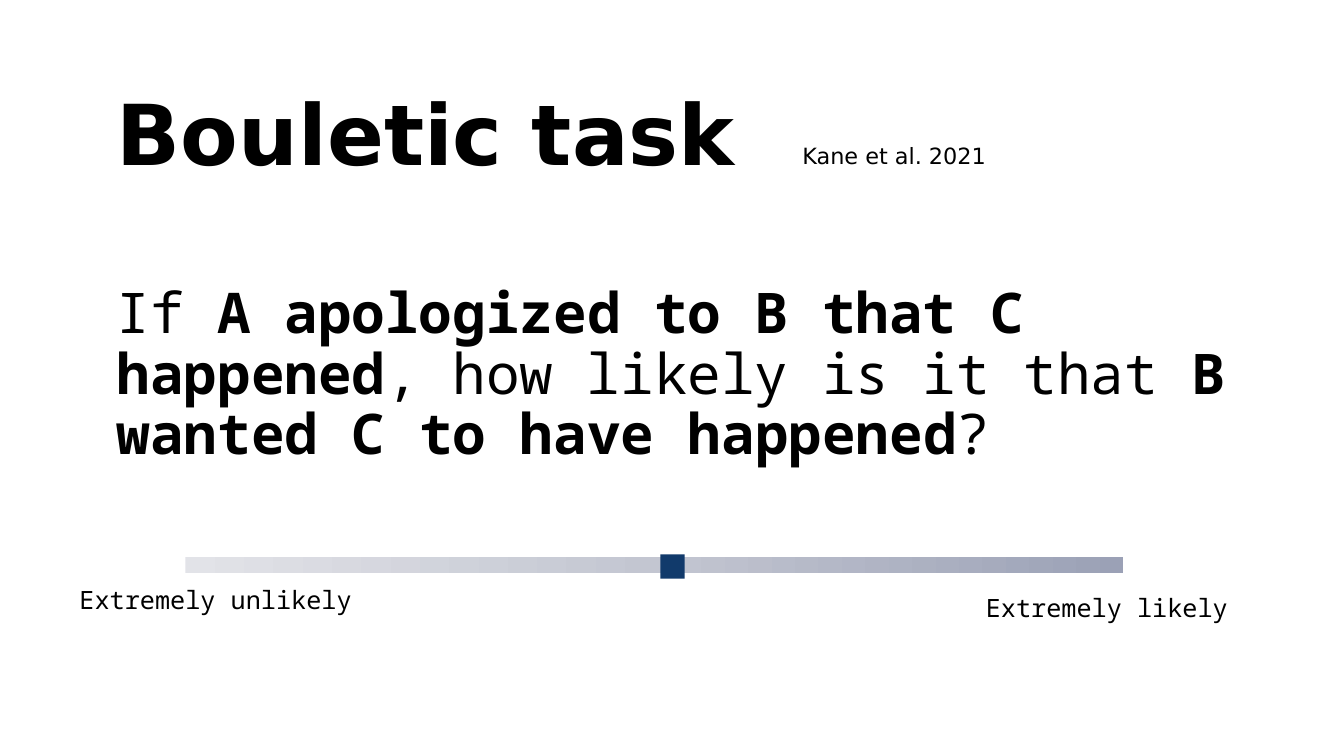
from copy import deepcopy
from dataclasses import dataclass

from pptx import Presentation
from pptx.dml.color import RGBColor
from pptx.enum.shapes import MSO_SHAPE
from pptx.enum.text import MSO_ANCHOR
from pptx.oxml.ns import qn
from pptx.util import Inches, Pt


@dataclass(frozen=True)
class Theme:
    """Colours, fonts and type sizes of the slide."""
    text: str = "000000"
    knob: str = "113A6B"
    track: tuple = ("E2E3E8", "C3C6D1", "9BA1B6")
    heading_font: str = "DejaVu Sans"
    body_font: str = "Noto Sans Mono"
    heading_size: int = 60
    question_size: int = 40
    label_size: int = 18
    citation_size: int = 16


THEME = Theme()


def add_text(page, box, spans, font, size, anchor=MSO_ANCHOR.TOP, line_spacing=1.0):
    """Add one paragraph of (text, bold) spans in a text box."""
    frame = page.shapes.add_textbox(*map(Inches, box)).text_frame
    frame.word_wrap = True
    frame.vertical_anchor = anchor
    para = frame.paragraphs[0]
    para.line_spacing = line_spacing
    for text, bold in spans:
        span = para.add_run()
        span.text = text
        span.font.name = font
        span.font.size = Pt(size)
        span.font.bold = bold
        span.font.color.rgb = RGBColor.from_string(THEME.text)


def add_bar(page, box):
    """Add a rectangle without outline or shadow."""
    bar = page.shapes.add_shape(MSO_SHAPE.RECTANGLE, *map(Inches, box))
    bar.shadow.inherit = False
    bar.line.fill.background()
    return bar


def fill_gradient(shape, colours):
    """Fill a shape from left to right with evenly spaced colours."""
    shape.fill.gradient()
    shape.fill.gradient_angle = 0
    stops = shape._element.spPr.find(qn("a:gradFill")).find(qn("a:gsLst"))
    while len(stops) < len(colours):
        stops.append(deepcopy(stops[0]))
    for index, (stop, colour) in enumerate(zip(shape.fill.gradient_stops, colours)):
        stop.position = index / (len(colours) - 1)
        stop.color.rgb = RGBColor.from_string(colour)


def add_heading(page, box):
    """Place the heading and the citation beside it."""
    left, top, width, height = box
    add_text(page, box, [("Bouletic task", True)], THEME.heading_font, THEME.heading_size)
    add_text(page, (left + 6.8, top + 0.6, 3.99, 0.37), [("Kane et al. 2021", False)],
             THEME.heading_font, THEME.citation_size)


def add_question(page, box):
    """Place the question with its key clauses in bold."""
    spans = [
        ("If ", False),
        ("A apologized to B that C happened", True),
        (", how likely is it that ", False),
        ("B wanted C to have happened", True),
        ("?", False),
    ]
    add_text(page, box, spans, THEME.body_font, THEME.question_size, MSO_ANCHOR.BOTTOM, 0.9)


def add_slider(page, box):
    """Place the slider track, its knob and the two end labels."""
    left, top, width, height = box
    fill_gradient(add_bar(page, box), THEME.track)
    knob = add_bar(page, (left + 4.71, top - 0.03, 0.24, 0.24))
    knob.fill.solid()
    knob.fill.fore_color.rgb = RGBColor.from_string(THEME.knob)
    labels = [("Extremely unlikely", -1.15, 0.09), ("Extremely likely", 7.84, 0.17)]
    for text, across, down in labels:
        add_text(page, (left + across, top + down, 2.93, 0.53), [(text, False)],
                 THEME.body_font, THEME.label_size, MSO_ANCHOR.BOTTOM, 0.9)


def main():
    """Build the slide and save the deck."""
    deck = Presentation()
    deck.slide_width = Inches(13.33)
    deck.slide_height = Inches(7.5)
    page = deck.slides.add_slide(deck.slide_layouts[6])
    add_question(page, (1.06, 2.06, 11.47, 2.62))
    add_heading(page, (1.06, 0.76, 10.28, 1.11))
    add_slider(page, (1.84, 5.53, 9.3, 0.16))
    deck.save("out.pptx")


if __name__ == "__main__":
    main()
